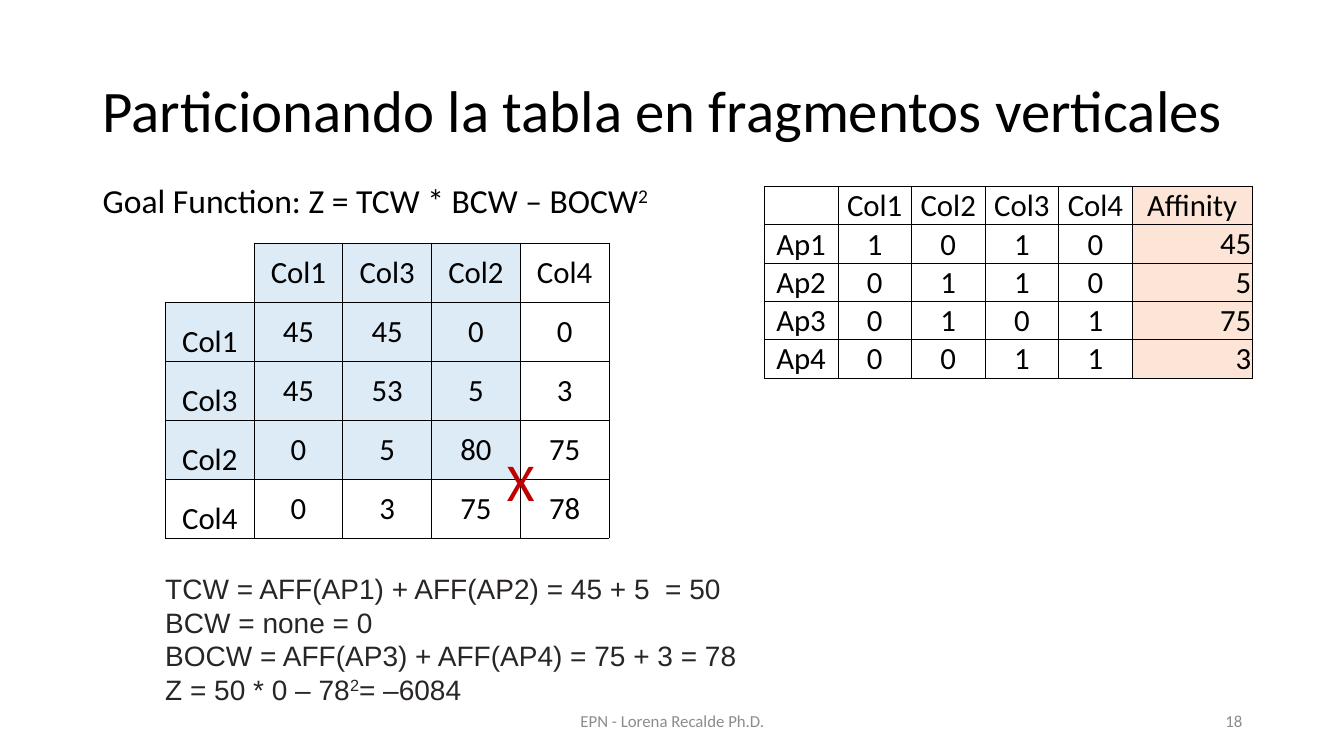
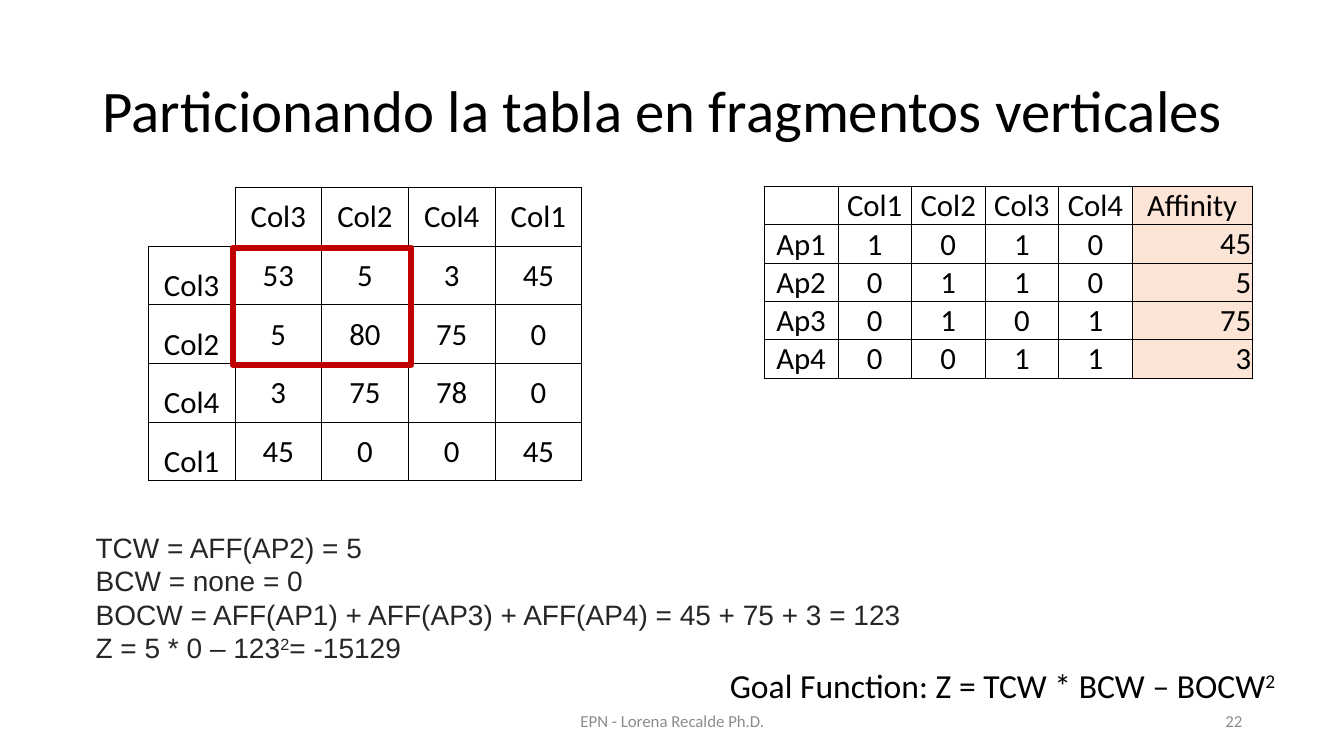
from dataclasses import dataclass
from typing import Any, NamedTuple

from lxml import etree
from pptx import Presentation
from pptx import slide as sl
from pptx import table as tb
from pptx import util as u
from pptx.dml import color
from pptx.enum import shapes, text
from pptx.oxml import ns

LEFT, MID, RIGHT = text.PP_ALIGN.LEFT, text.PP_ALIGN.CENTER, text.PP_ALIGN.RIGHT
TOP, HALF, LOW = text.MSO_ANCHOR.TOP, text.MSO_ANCHOR.MIDDLE, text.MSO_ANCHOR.BOTTOM


class Face(NamedTuple):
    """Font name, size in points and colour of a text."""
    name: str
    size: int
    ink: str


@dataclass(frozen=True)
class Theme:
    """Colours and type styles of the deck."""
    title: Face = Face("Calibri", 42, "000000")
    goal: Face = Face("Calibri", 24, "000000")
    cell: Face = Face("Calibri", 22, "000000")
    steps: Face = Face("Arial", 20, "292526")
    foot: Face = Face("Calibri", 12, "8C8C8C")
    cross: Face = Face("Calibri", 38, "C00000")
    red: str = "C00000"
    blue: str = "DDEBF7"
    peach: str = "FCE4D6"
    rule: str = "000000"


class Box(NamedTuple):
    """Left, top, width and height in inches."""
    left: float
    top: float
    width: float
    height: float


class Cell(NamedTuple):
    """Content and look of one table cell."""
    words: str
    fill: str = ""
    align: Any = MID
    anchor: Any = HALF
    edges: str = "LRTB"


@dataclass(frozen=True)
class Page:
    """What differs from one slide to the next."""
    number: int
    order: tuple[int, ...]
    shaded: int
    grid: Box
    goal: Box
    steps: Box
    lines: tuple[str, ...]
    cross: Box | None = None
    frame: Box | None = None


THEME = Theme()
TITLE = "Particionando la tabla en fragmentos verticales"
GOAL = "Goal Function: Z = TCW * BCW – BOCW^2"
FOOT = "EPN - Lorena Recalde Ph.D."
USAGE = ((1, 0, 1, 0), (0, 1, 1, 0), (0, 1, 0, 1), (0, 0, 1, 1))
WEIGHTS = (45, 5, 75, 3)
COLS = tuple(f"Col{n}" for n in range(1, 5))

PAGES = (
    Page(18, (0, 2, 1, 3), 3, Box(1.64, 2.41, 4.4, 2.93),
         Box(0.92, 1.74, 5.84, 0.5), Box(1.54, 5.62, 8.07, 1.45),
         ("TCW = AFF(AP1) + AFF(AP2) = 45 + 5  = 50",
          "BCW = none = 0",
          "BOCW = AFF(AP3) + AFF(AP4) = 75 + 3 = 78",
          "Z = 50 * 0 – 78^2^= –6084"),
         cross=Box(4.93, 4.4, 0.65, 0.74)),
    Page(22, (2, 1, 3, 0), 0, Box(1.47, 1.86, 4.3, 2.91),
         Box(7.14, 6.55, 5.84, 0.5), Box(0.85, 5.21, 8.43, 1.45),
         ("TCW = AFF(AP2) = 5",
          "BCW = none = 0",
          "BOCW = AFF(AP1) + AFF(AP3) + AFF(AP4) = 45 + 75 + 3 = 123",
          "Z = 5 * 0 – 123^2^= -15129"),
         frame=Box(2.31, 2.46, 1.77, 1.16)),
)


def put(item: Any, values: dict[str, Any]) -> None:
    """Set each named attribute of an object."""
    for key, value in values.items():
        setattr(item, key, value)


def rgb(code: str) -> color.RGBColor:
    """Turn a hex code into a colour."""
    return color.RGBColor.from_string(code)


def inch(box: Box) -> list[u.Length]:
    """Turn a box into lengths."""
    return [u.Inches(part) for part in box]


def write(frame: Any, lines: tuple[str, ...], face: Face, align: Any = LEFT,
          space: float | None = None) -> None:
    """Fill a text frame; every second part between carets is raised."""
    for row, line in enumerate(lines):
        para = frame.add_paragraph() if row else frame.paragraphs[0]
        put(para, {"alignment": align, "line_spacing": space})
        for turn, part in enumerate(line.split("^")):
            if not part:
                continue
            run = para.add_run()
            run.text = part
            put(run.font, {"name": face.name, "size": u.Pt(face.size)})
            run.font.color.rgb = rgb(face.ink)
            if turn % 2:
                run.font._element.set("baseline", "30000")


def label(slide: sl.Slide, box: Box, lines: tuple[str, ...], face: Face,
          align: Any = LEFT, anchor: Any = TOP, space: float | None = None) -> None:
    """Add a wrapping text box."""
    frame = slide.shapes.add_textbox(*inch(box)).text_frame
    put(frame, {"word_wrap": True, "vertical_anchor": anchor})
    write(frame, lines, face, align, space)


def edge(cell: tb._Cell, sides: str) -> None:
    """Draw thin rules on the given sides of a cell and clear the rest."""
    props = cell._tc.get_or_add_tcPr()
    for side in "LRTB":
        line = etree.SubElement(props, ns.qn(f"a:ln{side}"), w=str(u.Pt(0.5)))
        if side in sides:
            fill = etree.SubElement(line, ns.qn("a:solidFill"))
            etree.SubElement(fill, ns.qn("a:srgbClr"), val=THEME.rule)
        else:
            etree.SubElement(line, ns.qn("a:noFill"))


def table(slide: sl.Slide, box: Box, widths: list[float],
          rows: list[list[Cell]]) -> None:
    """Add a ruled table with equal rows."""
    grid = slide.shapes.add_table(len(rows), len(widths), *inch(box)).table
    put(grid, {"first_row": False, "horz_banding": False})
    for col, width in zip(grid.columns, widths):
        col.width = u.Inches(width)
    thin = u.Inches(0.01)
    for y, row in enumerate(rows):
        grid.rows[y].height = u.Inches(box.height / len(rows))
        for x, look in enumerate(row):
            cell = grid.cell(y, x)
            put(cell, {"margin_left": thin, "margin_right": thin, "margin_top": thin,
                       "margin_bottom": 0, "vertical_anchor": look.anchor})
            write(cell.text_frame, (look.words,), THEME.cell, look.align)
            edge(cell, look.edges)
            if look.fill:
                cell.fill.solid()
                cell.fill.fore_color.rgb = rgb(look.fill)
            else:
                cell.fill.background()


def shared(one: int, two: int) -> int:
    """Sum the weights of the programs that use both columns."""
    return sum(w for row, w in zip(USAGE, WEIGHTS) if row[one] and row[two])


def matrix(slide: sl.Slide, page: Page) -> None:
    """Add the column affinity table, its first columns shaded."""
    def tint(*spots: int) -> str:
        return THEME.blue if max(spots) < page.shaded else ""

    rows = [[Cell("", edges="RB")]
            + [Cell(COLS[c], tint(x)) for x, c in enumerate(page.order)]]
    for y, one in enumerate(page.order):
        rows.append([Cell(COLS[one], tint(y), anchor=LOW)]
                    + [Cell(str(shared(one, two)), tint(x, y))
                       for x, two in enumerate(page.order)])
    size = len(rows)
    table(slide, page.grid, [page.grid.width / size] * size, rows)


def usage(slide: sl.Slide) -> None:
    """Add the table of columns used by each program."""
    rows = [[Cell(word) for word in ("", *COLS)] + [Cell("Affinity", THEME.peach)]]
    for n, (flags, weight) in enumerate(zip(USAGE, WEIGHTS), 1):
        rows.append([Cell(f"Ap{n}")] + [Cell(str(flag)) for flag in flags]
                    + [Cell(str(weight), THEME.peach, RIGHT, LOW)])
    table(slide, Box(7.58, 1.85, 4.84, 1.9), [0.73] * 5 + [1.19], rows)


def outline(slide: sl.Slide, box: Box) -> None:
    """Add the red frame around the chosen block."""
    shape = slide.shapes.add_shape(shapes.MSO_SHAPE.RECTANGLE, *inch(box))
    shape.shadow.inherit = False
    shape.fill.background()
    shape.line.color.rgb = rgb(THEME.red)
    shape.line.width = u.Pt(4.5)


def base(slide: sl.Slide, number: int) -> None:
    """Add the title, footer and slide number."""
    label(slide, Box(0.92, 0.4, 11.5, 1.45), (TITLE,), THEME.title,
          anchor=HALF, space=0.9)
    label(slide, Box(4.42, 6.95, 4.5, 0.4), (FOOT,), THEME.foot, MID, HALF)
    label(slide, Box(9.42, 6.95, 3, 0.4), (str(number),), THEME.foot, RIGHT, HALF)


def draw(slide: sl.Slide, page: Page) -> None:
    """Build one slide."""
    base(slide, page.number)
    label(slide, page.goal, (GOAL,), THEME.goal)
    matrix(slide, page)
    if page.cross:
        label(slide, page.cross, ("X",), THEME.cross)
    if page.frame:
        outline(slide, page.frame)
    usage(slide)
    label(slide, page.steps, page.lines, THEME.steps)


def main() -> None:
    """Build and save the deck."""
    deck = Presentation()
    put(deck, {"slide_width": u.Inches(13.33), "slide_height": u.Inches(7.5)})
    for page in PAGES:
        draw(deck.slides.add_slide(deck.slide_layouts[6]), page)
    deck.save("out.pptx")


main()
